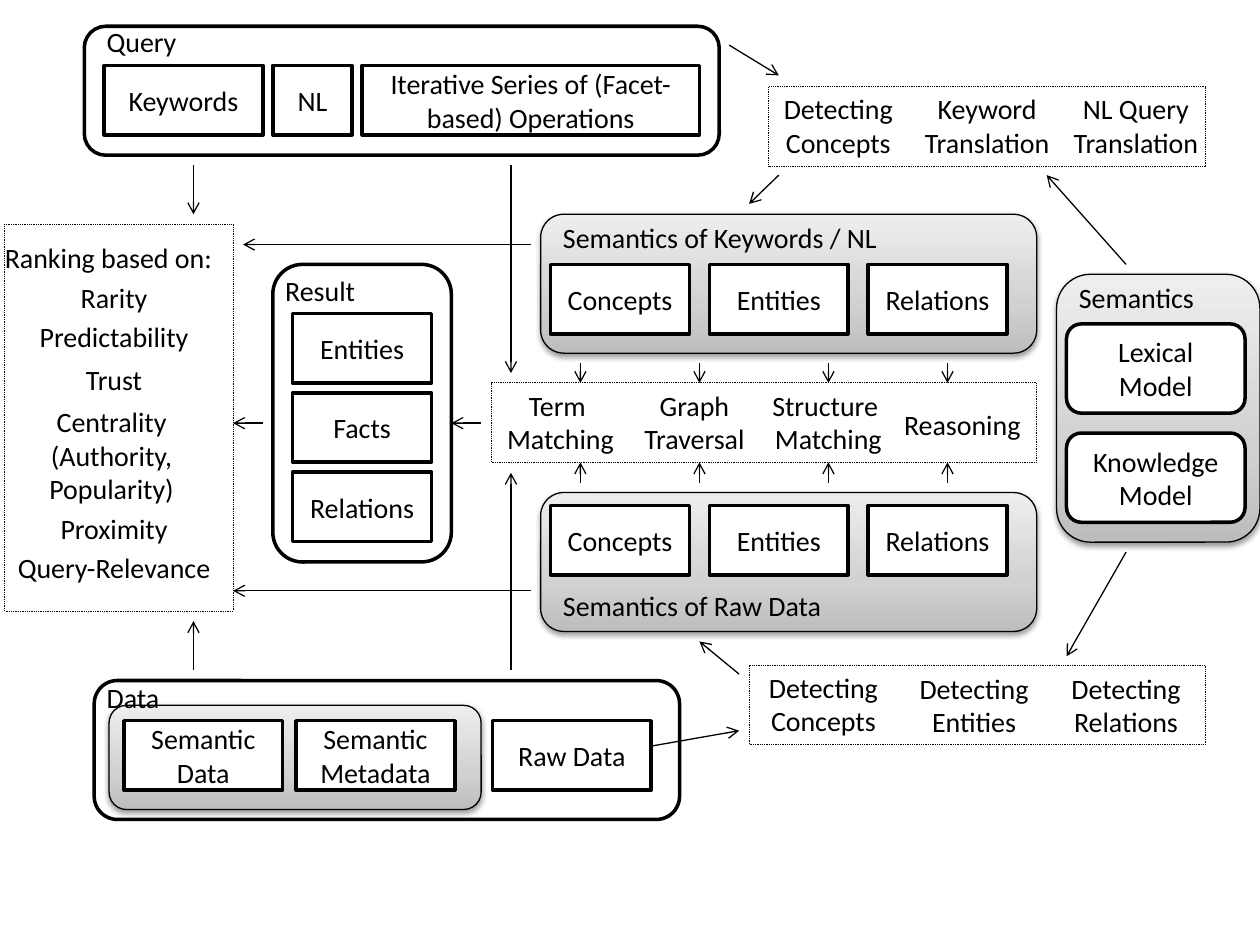
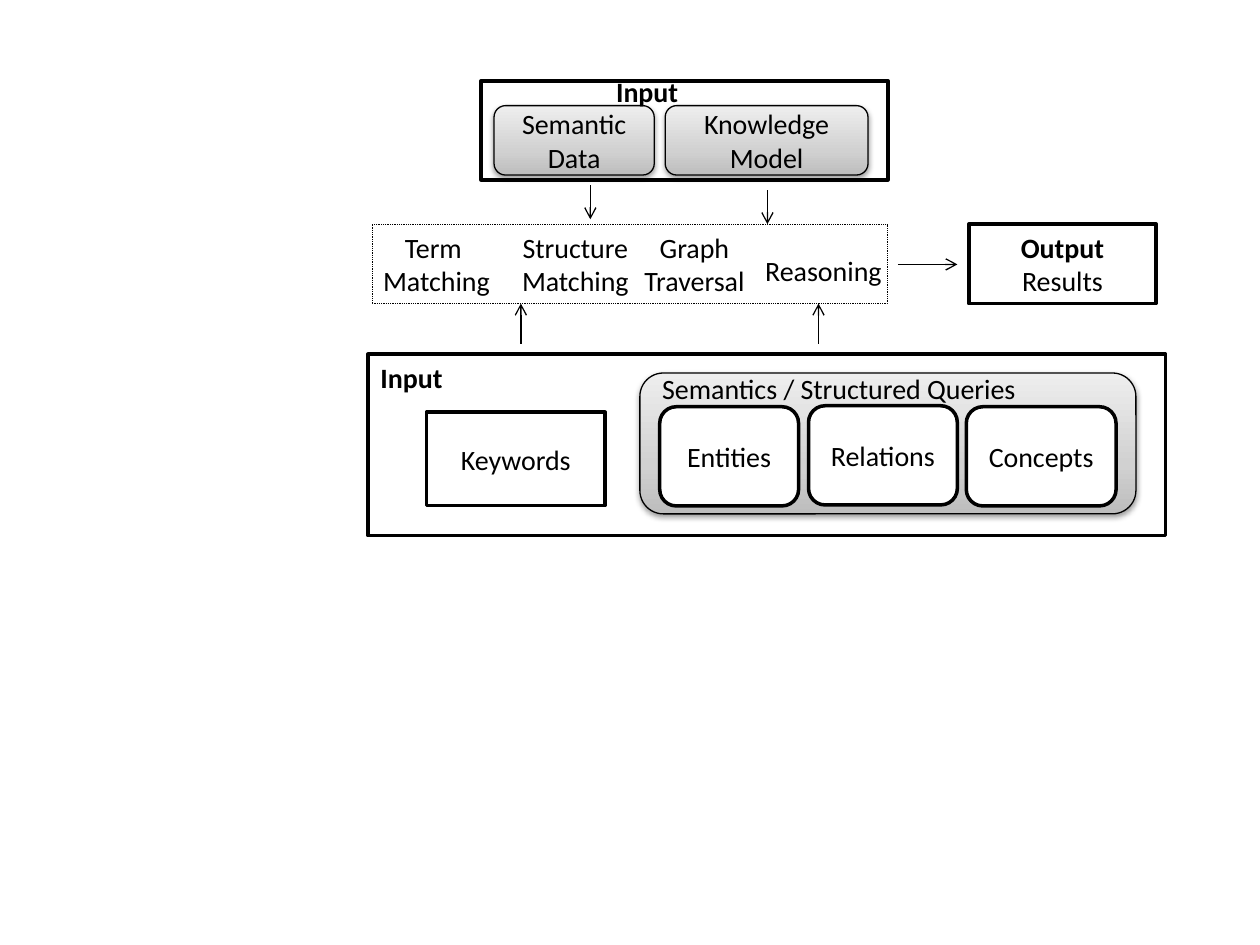
from lxml import etree
from pptx import Presentation, util as u
from pptx.dml.color import RGBColor
from pptx.enum import dml, shapes, text
from pptx.oxml.ns import qn

# Shared look
BLACK = RGBColor(0, 0, 0)
WHITE = RGBColor(255, 255, 255)
SHADES = [(0, RGBColor(0xBD, 0xBD, 0xBD)), (35, RGBColor(0xD1, 0xD1, 0xD1)),
          (100, RGBColor(0xEE, 0xEE, 0xEE))]
FONT, SIZE = "Calibri", 16
BOLD = {"Input", "Output"}
RECT, ROUND = shapes.MSO_SHAPE.RECTANGLE, shapes.MSO_SHAPE.ROUNDED_RECTANGLE
# style: outline, line width in points
STYLES = {"box": (RECT, 2), "round": (ROUND, 2),
          "grey": (ROUND, 0.75), "dots": (RECT, 0.5)}
LEFT, MID = text.PP_ALIGN.LEFT, text.PP_ALIGN.CENTER

# All places are in centimetres.
# Shapes: style, left, top, width, height, text
TRIO = ["Concepts", "Entities", "Relations"]
FACTS = ["Entities", "Facts", "Relations"]
MODELS = ["Lexical Model", "Knowledge Model"]

FLOW = [
    # Query
    ("round", 1.7, 0.53, 12.8, 2.6, ""),
    ("box", 2.1, 1.32, 3.2, 1.4, "Keywords"),
    ("box", 5.5, 1.32, 1.6, 1.4, "NL"),
    ("box", 7.3, 1.32, 6.8, 1.4, "Iterative Series of (Facet-based) Operations"),
    # Data
    ("round", 1.9, 13.72, 11.8, 2.8, ""),
    ("grey", 2.2, 14.22, 7.5, 2.1, ""),
    ("box", 2.5, 14.53, 3.2, 1.4, "Semantic Data"),
    ("box", 5.97, 14.53, 3.2, 1.4, "Semantic Metadata"),
    ("box", 9.93, 14.53, 3.2, 1.4, "Raw Data"),
    # Steps
    ("dots", 9.9, 7.72, 11, 1.6, ""),
    ("dots", 15.5, 1.75, 8.8, 1.6, ""),
    ("dots", 15.1, 13.41, 9.2, 1.6, ""),
    ("dots", 0.1, 4.52, 4.6, 7.8, ""),
    # Holders of the rows and stacks below
    ("grey", 10.9, 4.32, 10, 2.8, ""),
    ("grey", 10.9, 9.93, 10, 2.8, ""),
    ("round", 5.5, 5.33, 3.6, 6, ""),
    ("grey", 21.3, 5.53, 4.1, 5.4, ""),
]
FLOW += [("box", 11.1 + 3.2 * i, top, 2.8, 1.4, word)
         for top in (5.33, 10.19) for i, word in enumerate(TRIO)]
FLOW += [("box", 5.9, 6.32 + 1.6 * i, 2.8, 1.4, word)
         for i, word in enumerate(FACTS)]
FLOW += [("round", 21.5, 6.53 + 2.2 * i, 3.6, 1.8, word)
         for i, word in enumerate(MODELS)]

# Labels: align, left, top, width, lines, text
FLOW_TEXT = [
    (LEFT, 1.9, 0.38, 11.07, 1, "Query"),
    (LEFT, 1.9, 13.59, 5.8, 1, "Data"),
    (LEFT, 5.5, 5.38, 3.2, 1, "Result"),
    (LEFT, 21.5, 5.54, 3.3, 1, "Semantics"),
    (LEFT, 11.1, 4.32, 7.4, 1, "Semantics of Keywords / NL"),
    (LEFT, 11.1, 11.73, 5.8, 1, "Semantics of Raw Data"),
    # Matching
    (MID, 9.9, 7.7, 2.8, 2, "Term \nMatching"),
    (MID, 12.5, 7.7, 3, 2, "Graph Traversal"),
    (MID, 15.3, 7.7, 2.8, 2, "Structure \nMatching"),
    (MID, 17.7, 8.1, 3.4, 1, "Reasoning"),
    # Query side
    (MID, 14.7, 1.73, 4.4, 2, "Detecting\nConcepts"),
    (MID, 17.9, 1.73, 4, 2, "Keyword Translation"),
    (MID, 21.3, 1.73, 3.2, 2, "NL Query Translation"),
    # Data side
    (MID, 14.7, 13.39, 3.8, 2, "Detecting Concepts"),
    (MID, 17.3, 13.41, 4.8, 2, "Detecting \nEntities "),
    (MID, 21.1, 13.41, 3.2, 2, "Detecting Relations"),
    # Ranking
    (MID, -0.2, 4.72, 4.9, 1, "Ranking based on: "),
    (MID, 0.5, 5.54, 3.6, 1, "Rarity"),
    (MID, 0.5, 6.32, 3.6, 1, "Predictability"),
    (MID, 0.5, 7.19, 3.6, 1, "Trust"),
    (MID, -0.2, 8.03, 4.9, 3, "Centrality (Authority, Popularity)"),
    (MID, 0.5, 10.19, 3.6, 1, "Proximity"),
    (MID, -0.3, 10.97, 5.2, 1, "Query-Relevance"),
]

# Arrows: from x, y to x, y
FLOW_LINES = [
    (14.7, 0.91, 15.7, 1.52), (15.7, 3.53, 15.1, 4.11),
    (22.7, 5.33, 21.1, 3.53), (22.7, 11.13, 21.5, 13.23),
    (13.13, 15.04, 14.9, 14.73), (14.9, 13.59, 14.1, 12.93),
    (9.7, 8.53, 9.1, 8.53), (5.3, 8.53, 4.7, 8.53),
    (10.7, 4.93, 4.9, 4.93), (10.7, 11.91, 4.7, 11.91),
    (10.3, 3.33, 10.3, 7.52), (10.3, 13.51, 10.3, 9.53),
    (3.9, 3.33, 3.9, 4.32), (3.9, 13.51, 3.9, 12.52),
]
FLOW_LINES += [(x, start, x, end) for x in (11.7, 14.1, 16.7, 19.1)
               for start, end in ((7.32, 7.72), (9.73, 9.32))]

MATCH = [
    ("box", 9.7, 1.63, 8.2, 2, ""),
    ("grey", 9.96, 2.13, 3.23, 1.4, "Semantic Data"),
    ("grey", 13.41, 2.13, 4.09, 1.4, "Knowledge Model"),
    ("dots", 7.5, 4.52, 10.4, 1.6, ""),
    ("box", 19.53, 4.52, 3.78, 1.6, "Output\nResults"),
    ("box", 7.42, 7.14, 16.08, 3.66, ""),
    ("box", 8.6, 8.31, 3.6, 1.88, "Keywords"),
    ("grey", 12.9, 7.52, 10, 2.84, ""),
    ("round", 13.3, 8.2, 2.8, 2, "Entities"),
    ("round", 16.3, 8.18, 3, 2, "Relations"),
    ("round", 19.48, 8.2, 3.02, 2, "Concepts"),
]
MATCH_TEXT = [
    (LEFT, 12.17, 1.37, 3.3, 1, "Input"),
    (LEFT, 7.42, 7.14, 3.3, 1, "Input"),
    (LEFT, 13.1, 7.37, 9.2, 1, "Semantics / Structured Queries"),
    (MID, 7.1, 4.52, 3.4, 2, "Term \nMatching"),
    (MID, 9.9, 4.52, 3.4, 2, "Structure\nMatching"),
    (MID, 12.3, 4.52, 3.4, 2, "Graph\nTraversal"),
    (MID, 14.9, 4.98, 3.4, 1, "Reasoning"),
]
MATCH_LINES = [
    (11.9, 3.73, 11.9, 4.42), (15.47, 3.84, 15.47, 4.52),
    (10.5, 6.93, 10.5, 6.12), (16.5, 6.93, 16.5, 6.12),
    (18.1, 5.33, 19.3, 5.33),
]


def cm(*sizes):
    return [u.Cm(size) for size in sizes]


def tint(parent, color):
    return etree.SubElement(parent, qn("a:srgbClr"), val=str(color))


def write(shape, words, align, anchor):
    frame = shape.text_frame
    frame.word_wrap = True
    frame.vertical_anchor = anchor
    for i, line in enumerate(words.split("\n")):
        para = frame.paragraphs[0] if i == 0 else frame.add_paragraph()
        para.alignment = align
        run = para.add_run()
        run.text = line
        run.font.name, run.font.size = FONT, u.Pt(SIZE)
        run.font.bold = line in BOLD
        run.font.color.rgb = BLACK


def shade(shape):
    """Grey gradient, dark at the foot, with a soft shadow."""
    shape.fill.gradient()
    shape.fill.gradient_angle = 90
    props = shape._element.spPr
    stops = props.find(".//" + qn("a:gsLst"))
    for stop in list(stops):
        stops.remove(stop)
    for place, color in SHADES:
        tint(etree.SubElement(stops, qn("a:gs"), pos=str(place * 1000)), color)
    cast = etree.SubElement(props.find(qn("a:effectLst")), qn("a:outerShdw"),
                            blurRad="40000", dist="20000", dir="5400000",
                            rotWithShape="0")
    etree.SubElement(tint(cast, BLACK), qn("a:alpha"), val="38000")


def add_shape(slide, style, left, top, width, height, words):
    kind, weight = STYLES[style]
    shape = slide.shapes.add_shape(kind, *cm(left, top, width, height))
    shape.shadow.inherit = False
    shape.line.color.rgb = BLACK
    shape.line.width = u.Pt(weight)
    if style == "dots":
        shape.line.dash_style = dml.MSO_LINE.ROUND_DOT
    if style == "grey":
        shade(shape)
    else:
        shape.fill.solid()
        shape.fill.fore_color.rgb = WHITE
    if words:
        write(shape, words, MID, text.MSO_ANCHOR.MIDDLE)


def add_label(slide, align, left, top, width, lines, words):
    height = 0.26 + 0.68 * lines
    label = slide.shapes.add_textbox(*cm(left, top, width, height))
    write(label, words, align, text.MSO_ANCHOR.TOP)


def add_arrow(slide, *ends):
    arrow = slide.shapes.add_connector(shapes.MSO_CONNECTOR.STRAIGHT, *cm(*ends))
    arrow.line.color.rgb = BLACK
    arrow.line.width = u.Pt(0.75)
    etree.SubElement(arrow.line._get_or_add_ln(), qn("a:tailEnd"), type="arrow")
    etree.SubElement(arrow._element.spPr, qn("a:effectLst"))


deck = Presentation()
deck.slide_width, deck.slide_height = cm(25.4, 19.05)
for parts, labels, arrows in ((FLOW, FLOW_TEXT, FLOW_LINES),
                              (MATCH, MATCH_TEXT, MATCH_LINES)):
    slide = deck.slides.add_slide(deck.slide_layouts[6])
    for part in parts:
        add_shape(slide, *part)
    for label in labels:
        add_label(slide, *label)
    for arrow in arrows:
        add_arrow(slide, *arrow)
deck.save("out.pptx")
